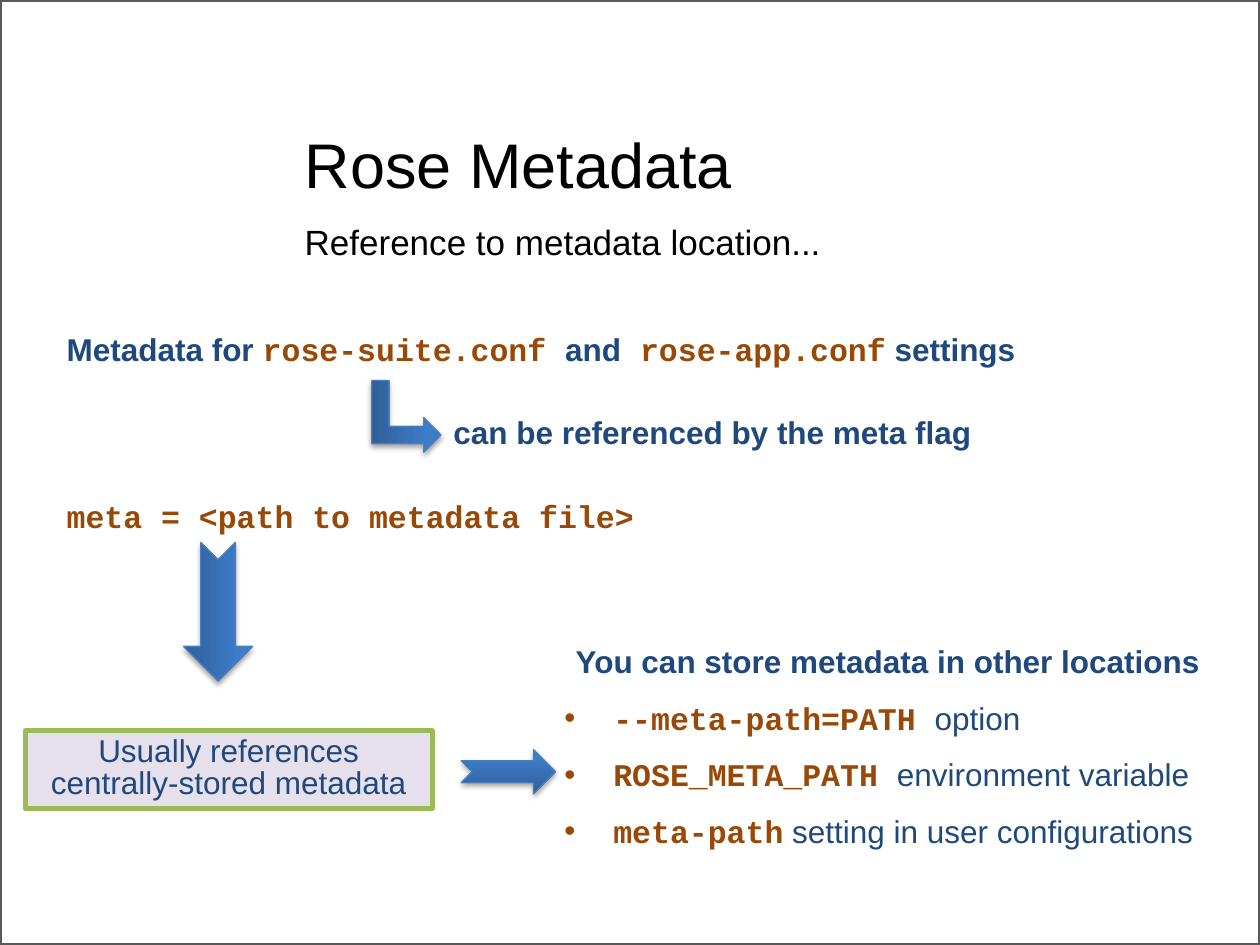
from dataclasses import dataclass

from lxml import etree
from pptx import Presentation
from pptx.dml.color import RGBColor
from pptx.enum.shapes import MSO_SHAPE
from pptx.enum.text import MSO_ANCHOR, PP_ALIGN
from pptx.oxml import parse_xml
from pptx.oxml.ns import qn
from pptx.util import Pt

RECT = MSO_SHAPE.RECTANGLE
NOTCH = MSO_SHAPE.NOTCHED_RIGHT_ARROW
BENT = MSO_SHAPE.BENT_UP_ARROW
TOP, BASE = MSO_ANCHOR.TOP, MSO_ANCHOR.BOTTOM
LEFT, MID = PP_ALIGN.LEFT, PP_ALIGN.CENTER
NS = 'xmlns:a="http://schemas.openxmlformats.org/drawingml/2006/main"'

HUES = {
    "black": "000000", "navy": "1F497D", "brown": "984807",
    "frame": "595959", "lilac": "E6E0EC", "green": "9BBB59",
    "edge": "4B7EBC", "dark": "2F5F99", "mid": "3D7CC7", "light": "3A7CCB",
}
FADE = ((0, "dark"), (80, "mid"), (100, "light"))


@dataclass
class Run:
    text: str
    name: str = "Arial"
    hue: str = "navy"
    bold: bool = True
    size: float = 18


@dataclass
class Para:
    runs: list[Run]
    space: float = 0.85
    inset: float = 0
    bullet: bool = False
    align: PP_ALIGN = LEFT


@dataclass
class Box:
    left: float
    top: float
    width: float
    height: float
    paras: list[Para]
    anchor: MSO_ANCHOR = TOP


@dataclass
class Arrow:
    kind: MSO_SHAPE
    left: float
    top: float
    width: float
    height: float
    turn: float = 0


def color(key: str) -> RGBColor:
    return RGBColor.from_string(HUES[key])


def code(text: str) -> Run:
    return Run(text, "Courier New", "brown")


def plain(text: str, size: float = 18, hue: str = "navy") -> Run:
    return Run(text, hue=hue, bold=False, size=size)


def item(flag: str, note: str) -> Para:
    return Para([code(flag), plain(note)], 1.5, 46, True)


def write(frame, paras: list[Para], anchor: MSO_ANCHOR = TOP) -> None:
    frame.word_wrap = True
    frame.vertical_anchor = anchor
    for i, para in enumerate(paras):
        line = frame.paragraphs[0] if i == 0 else frame.add_paragraph()
        props = line._p.get_or_add_pPr()
        props.set("marL", str(Pt(para.inset)))
        if para.bullet:
            props.set("indent", str(Pt(-28)))
            font = etree.SubElement(props, qn("a:buFont"))
            font.set("typeface", "Arial")
            etree.SubElement(props, qn("a:buChar")).set("char", "•")
        line.alignment = para.align
        line.line_spacing = para.space
        for part in para.runs:
            run = line.add_run()
            run.text = part.text
            style = {"name": part.name, "size": Pt(part.size), "bold": part.bold}
            for key, value in style.items():
                setattr(run.font, key, value)
            run.font.color.rgb = color(part.hue)


def add_box(slide, box: Box) -> None:
    shape = slide.shapes.add_textbox(
        Pt(box.left), Pt(box.top), Pt(box.width), Pt(box.height))
    write(shape.text_frame, box.paras, box.anchor)


def add_rect(slide, area: tuple, line: str, weight: float, fill: str = ""):
    shape = slide.shapes.add_shape(RECT, *map(Pt, area))
    shape.shadow.inherit = False
    if fill:
        shape.fill.solid()
        shape.fill.fore_color.rgb = color(fill)
    else:
        shape.fill.background()
    shape.line.color.rgb = color(line)
    shape.line.width = Pt(weight)
    return shape


def add_arrow(slide, arrow: Arrow) -> None:
    shape = slide.shapes.add_shape(
        arrow.kind, Pt(arrow.left), Pt(arrow.top), Pt(arrow.width), Pt(arrow.height))
    shape.rotation = arrow.turn
    shape.line.color.rgb = color("edge")
    shape.line.width = Pt(0.75)
    shape.shadow.inherit = False
    props = shape._element.spPr
    # Gradient follows the outline geometry
    stops = "".join(
        f'<a:gs pos="{pos * 1000}"><a:srgbClr val="{HUES[key]}"/></a:gs>'
        for pos, key in FADE)
    props.find(qn("a:prstGeom")).addnext(parse_xml(
        f'<a:gradFill {NS} rotWithShape="1"><a:gsLst>{stops}</a:gsLst>'
        '<a:lin ang="16200000" scaled="0"/></a:gradFill>'))
    # Soft shadow straight below
    props.find(qn("a:effectLst")).append(parse_xml(
        f'<a:outerShdw {NS} blurRad="{Pt(3.1)}" dist="{Pt(1.8)}" dir="5400000" '
        'rotWithShape="0"><a:srgbClr val="000000"><a:alpha val="35000"/>'
        '</a:srgbClr></a:outerShdw>'))


BOXES = [
    # Headings
    Box(167, 45.4, 550, 73.4, [Para([plain("Rose Metadata", 36, "black")])], BASE),
    Box(167, 125, 550, 40,
        [Para([plain("Reference to metadata location...", 20, "black")], 0.9)]),
    # Flow of statements
    Box(31, 185, 675, 29, [Para([
        Run("Metadata for "), code("rose-suite.conf "), Run("and"),
        code(" rose-app.conf"), Run(" settings")], 1)]),
    Box(252, 236, 360, 26, [Para([Run("can be referenced by the meta flag")])]),
    Box(31, 283.7, 360, 26, [Para([code("meta = <path to metadata file>")])]),
    # Other locations
    Box(297.4, 366.5, 410, 124, [
        Para([Run("You can store metadata in other locations")], inset=24.5),
        item("--meta-path=PATH ", "option"),
        item("ROSE_META_PATH ", "environment variable"),
        item("meta-path", " setting in user configurations")]),
]
ARROWS = [
    Arrow(BENT, 211.7, 218.2, 41, 39.6, 90),
    Arrow(NOTCH, 85, 329.8, 79.2, 39.6, 90),
    Arrow(NOTCH, 263.5, 428.4, 54, 25.2),
]


def main() -> None:
    deck = Presentation()
    deck.slide_width, deck.slide_height = Pt(720), Pt(540)
    slide = deck.slides.add_slide(deck.slide_layouts[6])

    # Slide frame
    add_rect(slide, (0, 0, 720, 540), "frame", 2.25)

    # Central store
    store = add_rect(slide, (14.4, 417.6, 232.6, 44.6), "green", 2.75, "lilac")
    write(store.text_frame, [Para(
        [plain("Usually references centrally-stored metadata")], align=MID)])

    for arrow in ARROWS:
        add_arrow(slide, arrow)
    for box in BOXES:
        add_box(slide, box)
    deck.save("out.pptx")


if __name__ == "__main__":
    main()
